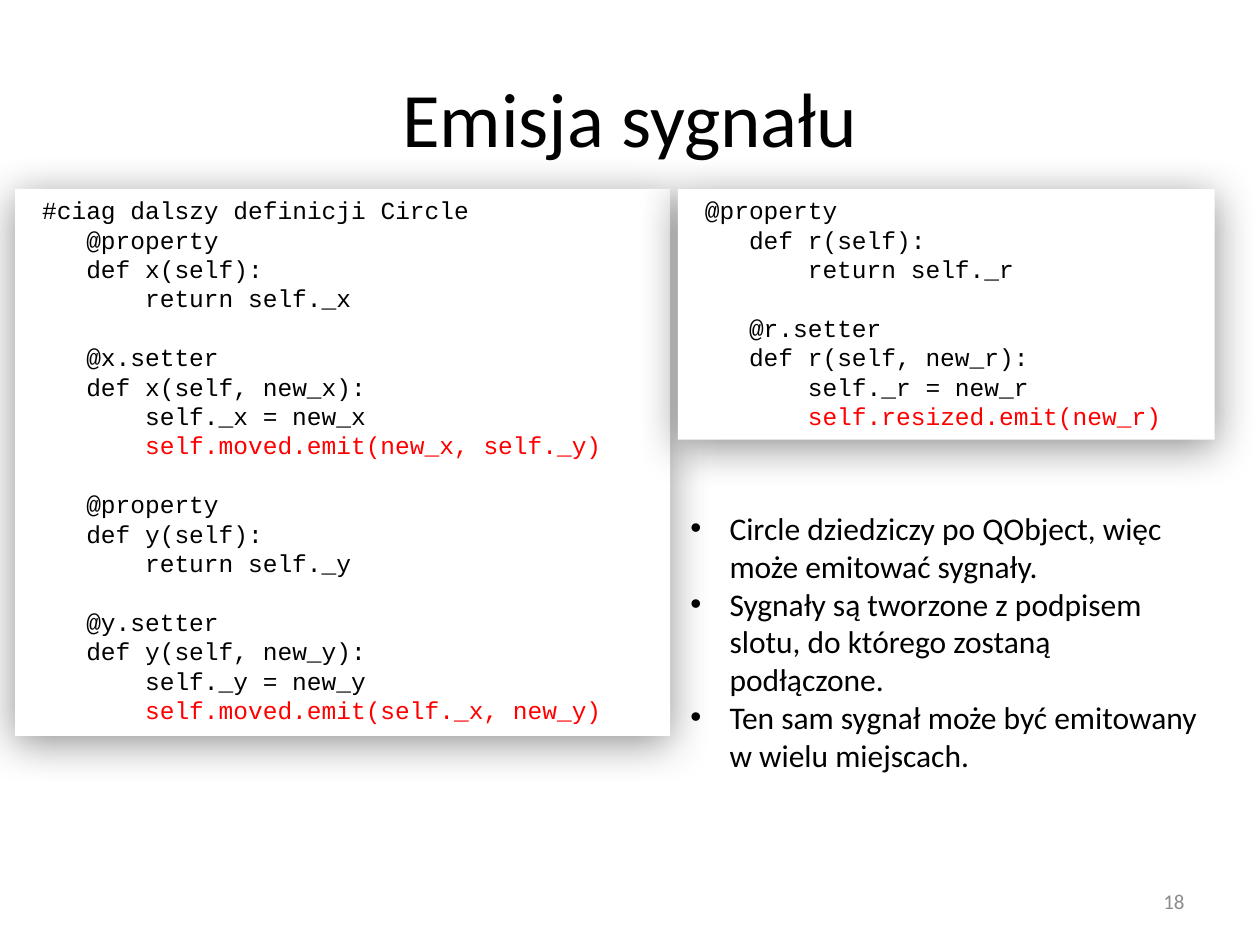
from dataclasses import dataclass

import pptx
import pptx.dml.color
import pptx.enum.shapes
import pptx.enum.text
import pptx.oxml
import pptx.oxml.ns
import pptx.util
from pptx.util import Inches, Pt

BODY_FONT = "Calibri"
CODE_FONT = "Courier New"
CODE_SIZE = 14
CODE_LINE = 1.2 * CODE_SIZE  # line pitch in points
CHAR_WIDTH = 0.6 * CODE_SIZE  # character advance in points
BULLET_INDENT = 0.31

BLACK = "000000"
WHITE = "FFFFFF"
RED = "FF0000"
GREY = "8C8C8C"

# Shared edges of the two columns
PANEL_TOP = 1.5
RIGHT_LEFT = 5.38
RIGHT_WIDTH = 4.26


@dataclass
class Area:
    left: float
    top: float
    width: float
    height: float

    def lengths(self) -> list:
        return [Inches(v) for v in (self.left, self.top, self.width, self.height)]


@dataclass
class CodePanel:
    area: Area
    code: str


@dataclass
class CodeLine:
    text: str
    depth: int  # leading characters
    blank_before: int  # empty lines above

    def color(self) -> str:
        return RED if ".emit(" in self.text else BLACK


PANELS = [
    CodePanel(Area(0.12, PANEL_TOP, 5.2, 4.34), """
 #ciag dalszy definicji Circle
    @property
    def x(self):
        return self._x

    @x.setter
    def x(self, new_x):
        self._x = new_x
        self.moved.emit(new_x, self._y)

    @property
    def y(self):
        return self._y

    @y.setter
    def y(self, new_y):
        self._y = new_y
        self.moved.emit(self._x, new_y)
"""),
    CodePanel(Area(RIGHT_LEFT, PANEL_TOP, RIGHT_WIDTH, 1.99), """
 @property
    def r(self):
        return self._r

    @r.setter
    def r(self, new_r):
        self._r = new_r
        self.resized.emit(new_r)
"""),
]

REMARKS = [
    "Circle dziedziczy po QObject, więc może emitować sygnały.",
    "Sygnały są tworzone z podpisem slotu, do którego zostaną podłączone.",
    "Ten sam sygnał może być emitowany w wielu miejscach.",
]


def color(value: str) -> pptx.dml.color.RGBColor:
    return pptx.dml.color.RGBColor.from_string(value)


def format_runs(para, font: str, size: float, value: str) -> None:
    for span in para.runs:
        span.font.name = font
        span.font.size = Pt(size)
        span.font.color.rgb = color(value)


def set_indent(para, left: int, first: int = 0) -> None:
    properties = para._p.get_or_add_pPr()
    properties.set("marL", str(left))
    properties.set("indent", str(first))


def place(box, area: Area) -> None:
    box.left, box.top, box.width, box.height = area.lengths()


def add_soft_shadow(box) -> None:
    namespace = pptx.oxml.ns.nsdecls("a")
    box._element.spPr.append(pptx.oxml.parse_xml(
        f'<a:effectLst {namespace}>'
        f'<a:outerShdw blurRad="{Pt(25)}" dist="{Pt(4)}" dir="5400000" rotWithShape="0">'
        f'<a:srgbClr val="{BLACK}"><a:alpha val="43000"/></a:srgbClr>'
        '</a:outerShdw></a:effectLst>'))


def split_code(code: str) -> list[CodeLine]:
    """Turn leading spaces into depths and empty lines into gaps."""
    result = []
    blanks = 0
    for line in code.strip("\n").split("\n"):
        text = line.strip()
        if not text:
            blanks += 1
            continue
        result.append(CodeLine(text, line.index(text), blanks))
        blanks = 0
    return result


def add_code_panel(page, panel: CodePanel) -> None:
    box = page.shapes.add_shape(
        pptx.enum.shapes.MSO_SHAPE.RECTANGLE, *panel.area.lengths())
    box.fill.solid()
    box.fill.fore_color.rgb = color(WHITE)
    box.line.fill.background()
    add_soft_shadow(box)

    frame = box.text_frame
    frame.word_wrap = True
    frame.vertical_anchor = pptx.enum.text.MSO_ANCHOR.TOP
    lines = split_code(panel.code)
    frame.text = "\n".join(line.text for line in lines)
    for para, line in zip(frame.paragraphs, lines):
        para.alignment = pptx.enum.text.PP_ALIGN.LEFT
        para.line_spacing = Pt(CODE_LINE)
        para.space_before = Pt(line.blank_before * CODE_LINE)
        set_indent(para, Pt(line.depth * CHAR_WIDTH))
        format_runs(para, CODE_FONT, CODE_SIZE, line.color())


def fill_title(box, area: Area, text: str) -> None:
    place(box, area)
    box.text_frame.text = text
    format_runs(box.text_frame.paragraphs[0], BODY_FONT, 44, BLACK)


def fill_bullets(box, area: Area, items: list[str]) -> None:
    place(box, area)
    frame = box.text_frame
    frame.text = "\n".join(items)
    frame.auto_size = pptx.enum.text.MSO_AUTO_SIZE.NONE
    for para in frame.paragraphs:
        para.space_before = Pt(0)
        set_indent(para, Inches(BULLET_INDENT), -Inches(BULLET_INDENT))
        format_runs(para, BODY_FONT, 18, BLACK)


def add_page_number(page, area: Area, text: str) -> None:
    frame = page.shapes.add_textbox(*area.lengths()).text_frame
    frame.text = text
    frame.word_wrap = True
    frame.vertical_anchor = pptx.enum.text.MSO_ANCHOR.MIDDLE
    para = frame.paragraphs[0]
    para.alignment = pptx.enum.text.PP_ALIGN.RIGHT
    format_runs(para, BODY_FONT, 12, GREY)


def main() -> None:
    deck = pptx.Presentation()
    deck.slide_width, deck.slide_height = Inches(10), Inches(7.5)
    page = deck.slides.add_slide(deck.slide_layouts[1])

    fill_title(page.shapes.title, Area(0.5, 0.3, 9, 1.25), "Emisja sygnału")
    for panel in PANELS:
        add_code_panel(page, panel)
    fill_bullets(page.placeholders[1], Area(RIGHT_LEFT, 3.99, RIGHT_WIDTH, 2.22), REMARKS)
    add_page_number(page, Area(7.17, 6.95, 2.33, 0.4), "18")

    deck.save("out.pptx")


if __name__ == "__main__":
    main()
